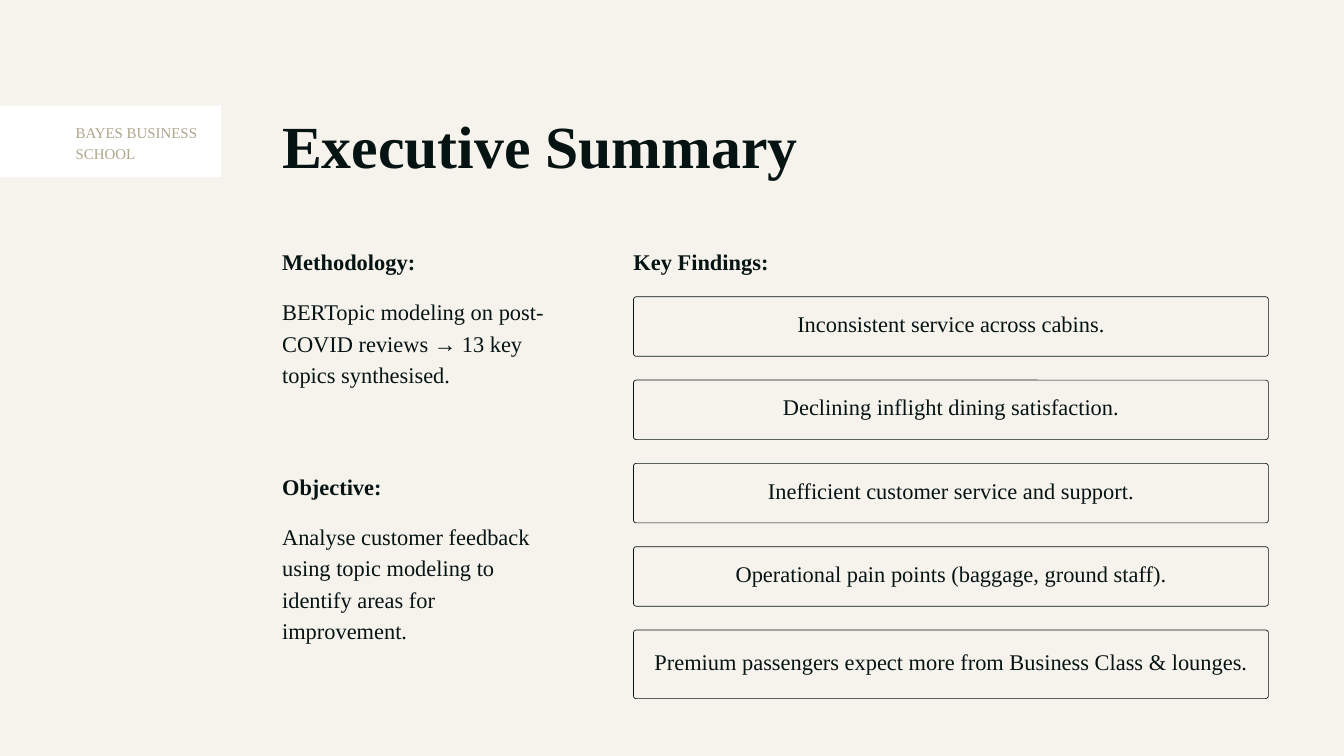
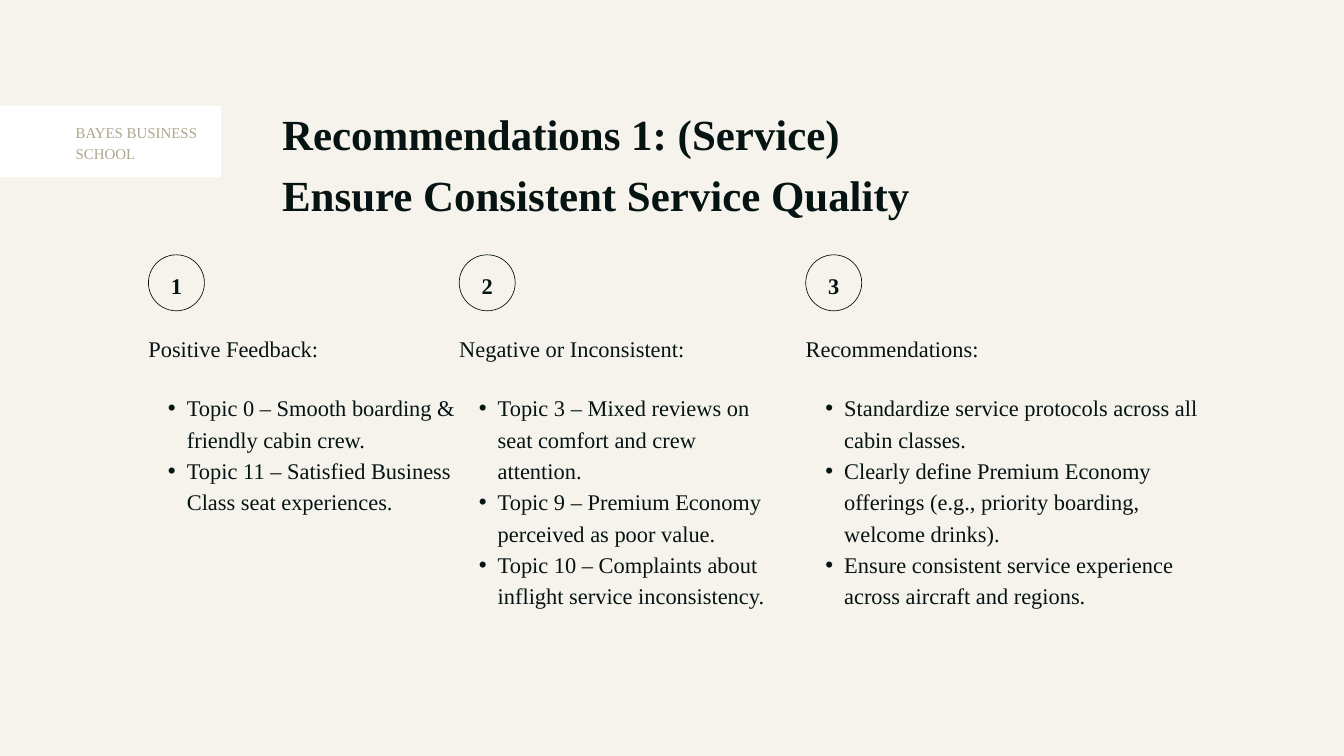
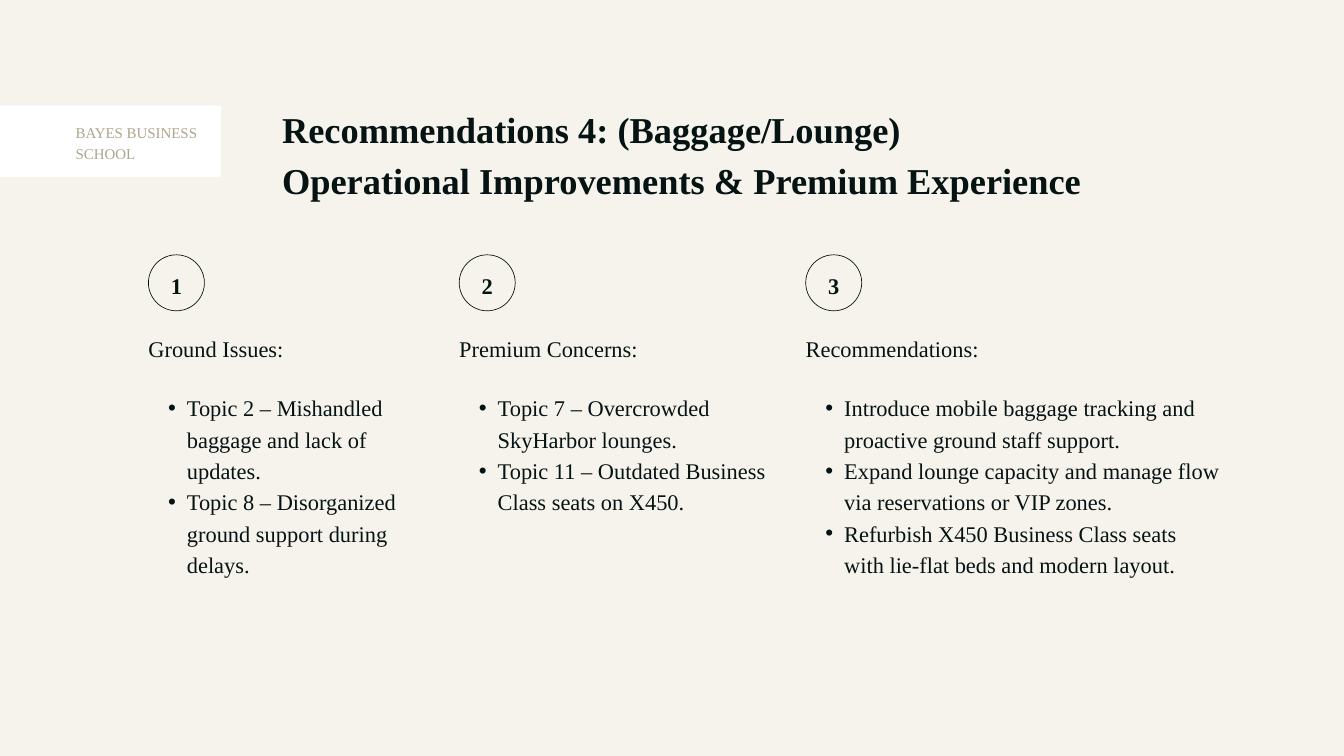
from dataclasses import dataclass

from lxml.etree import SubElement
from pptx import Presentation
from pptx.dml.color import RGBColor
from pptx.enum.shapes import MSO_SHAPE as Preset
from pptx.enum.text import MSO_ANCHOR as Anchor, PP_ALIGN as Align
from pptx.oxml.ns import qn
from pptx.util import Pt

EMU_PER_PX = 9525


def px(length):
    return length * EMU_PER_PX


@dataclass(frozen=True)
class Theme:
    paper: RGBColor = RGBColor(0xF5, 0xF3, 0xEC)
    ink: RGBColor = RGBColor(0x06, 0x13, 0x13)
    tag_fill: RGBColor = RGBColor(0xFF, 0xFF, 0xFF)
    tag_text: RGBColor = RGBColor(0xAD, 0xA6, 0x8E)
    font: str = "Times New Roman"
    body: int = 24
    tag: int = 16
    leading: float = 1.4
    outline: float = 0.75


THEME = Theme()


@dataclass(frozen=True)
class Box:
    left: int
    top: int
    width: int
    height: int

    def emu(self):
        return [px(side) for side in (self.left, self.top, self.width, self.height)]

    def strip(self, top, height):
        """A full-width strip that starts `top` below this box's own top."""
        return Box(self.left, self.top + top, self.width, height)


def add_bullet(paragraph):
    paragraph.level = 1
    properties = paragraph._p.get_or_add_pPr()
    properties.set("marL", str(px(55)))
    properties.set("indent", str(px(-27)))
    SubElement(properties, qn("a:buFont"), typeface="Arial")
    SubElement(properties, qn("a:buChar"), char="•")


def write(shape, lines, size=THEME.body, bold=False, color=THEME.ink, align=Align.LEFT,
          anchor=Anchor.TOP, insets=(0, 0, 0, 0), bulleted=False):
    """Fill a shape with one paragraph per line; insets are left, top, right, bottom."""
    frame = shape.text_frame
    frame.word_wrap = True
    frame.vertical_anchor = anchor
    (frame.margin_left, frame.margin_top,
     frame.margin_right, frame.margin_bottom) = map(px, insets)
    frame.text = "\n".join(lines)
    for paragraph in frame.paragraphs:
        if bulleted:
            add_bullet(paragraph)
        paragraph.alignment = align
        paragraph.line_spacing = Pt(size * THEME.leading)
        for run in paragraph.runs:
            run.font.name = THEME.font
            run.font.size = Pt(size)
            run.font.bold = bold
            run.font.color.rgb = color


def add_text(slide, box, lines, **style):
    write(slide.shapes.add_textbox(*box.emu()), lines, **style)


def add_outline(slide, preset, box):
    shape = slide.shapes.add_shape(preset, *box.emu())
    shape.shadow.inherit = False
    shape.fill.background()
    shape.line.color.rgb = THEME.ink
    shape.line.width = Pt(THEME.outline)
    return shape


def add_school_tag(slide, box):
    tag = slide.shapes.add_shape(Preset.RECTANGLE, *box.emu())
    tag.shadow.inherit = False
    tag.fill.solid()
    tag.fill.fore_color.rgb = THEME.tag_fill
    tag.line.fill.background()
    write(tag, ["BAYES BUSINESS SCHOOL"], size=THEME.tag, color=THEME.tag_text,
          insets=(108, 21, 0, 0))


def start_slide(presentation, title_lines, title_size, title_box):
    slide = presentation.slides.add_slide(presentation.slide_layouts[6])
    slide.background.fill.solid()
    slide.background.fill.fore_color.rgb = THEME.paper
    add_school_tag(slide, Box(0, 151, 316, 102))
    add_text(slide, title_box, title_lines, size=title_size, bold=True)
    return slide


def add_section(slide, box, heading, text):
    add_text(slide, box.strip(0, 41), [heading], bold=True)
    add_text(slide, box.strip(72, box.height - 72), [text])


def add_findings(slide, box, findings):
    """Heading over evenly spaced cards; the last card reaches the box's bottom."""
    first, pitch, card_height, radius = 76, 119, 85, 4
    add_text(slide, box.strip(0, 41), ["Key Findings:"], bold=True)
    for index, finding in enumerate(findings):
        top = first + index * pitch
        is_last = index == len(findings) - 1
        height = box.height - top if is_last else card_height
        card = add_outline(slide, Preset.ROUNDED_RECTANGLE, box.strip(top, height))
        card.adjustments[0] = radius / height
        write(card, [finding], align=Align.CENTER, anchor=Anchor.MIDDLE,
              insets=(5, 6, 5, 21))


def add_numbered_column(slide, box, number, heading, points):
    diameter = 80
    circle = add_outline(slide, Preset.OVAL, Box(box.left, box.top, diameter, diameter))
    write(circle, [str(number)], bold=True, align=Align.CENTER, anchor=Anchor.MIDDLE)
    add_text(slide, box.strip(108, 41), [heading])
    add_text(slide, box.strip(193, box.height - 193), points, bulleted=True)


def add_summary_slide(presentation):
    slide = start_slide(presentation, ["Executive Summary"], 64, Box(403, 138, 1114, 114))
    add_section(slide, Box(403, 348, 404, 246), "Methodology:",
                "BERTopic modeling on post-COVID reviews → 13 key topics synthesised.")
    add_section(slide, Box(403, 669, 404, 246), "Objective:",
                "Analyse customer feedback using topic modeling to identify areas for improvement.")
    add_findings(slide, Box(905, 348, 907, 650), [
        "Inconsistent service across cabins.",
        "Declining inflight dining satisfaction.",
        "Inefficient customer service and support.",
        "Operational pain points (baggage, ground staff).",
        "Premium passengers expect more from Business Class & lounges.",
    ])


def add_recommendation_slide(presentation, title_lines, title_size, title_box,
                             first_width, columns):
    slide = start_slide(presentation, title_lines, title_size, title_box)
    spans = [(212, first_width), (656, 455), (1151, 593)]
    for number, ((left, width), (heading, height, points)) in enumerate(
            zip(spans, columns), start=1):
        add_numbered_column(slide, Box(left, 364, width, height), number, heading, points)


def main():
    presentation = Presentation()
    presentation.slide_width, presentation.slide_height = px(1920), px(1080)

    add_summary_slide(presentation)
    add_recommendation_slide(
        presentation,
        ["Recommendations 1: (Service)", "Ensure Consistent Service Quality"],
        46, Box(403, 142, 1272, 167), 463,
        [
            ("Positive Feedback:", 542, [
                "Topic 0 – Smooth boarding & friendly cabin crew.",
                "Topic 11 – Satisfied Business Class seat experiences.",
            ]),
            ("Negative or Inconsistent:", 675, [
                "Topic 3 – Mixed reviews on seat comfort and crew attention.",
                "Topic 9 – Premium Economy perceived as poor value.",
                "Topic 10 – Complaints about inflight service inconsistency.",
            ]),
            ("Recommendations:", 587, [
                "Standardize service protocols across all cabin classes.",
                "Clearly define Premium Economy offerings (e.g., priority boarding, "
                "welcome drinks).",
                "Ensure consistent service experience across aircraft and regions.",
            ]),
        ])
    add_recommendation_slide(
        presentation,
        ["Recommendations 4: (Baggage/Lounge)",
         "Operational Improvements & Premium Experience"],
        39, Box(403, 143, 1487, 141), 422,
        [
            ("Ground Issues:", 542, [
                "Topic 2 – Mishandled baggage and lack of updates.",
                "Topic 8 – Disorganized ground support during delays.",
            ]),
            ("Premium Concerns:", 455, [
                "Topic 7 – Overcrowded SkyHarbor lounges.",
                "Topic 11 – Outdated Business Class seats on X450.",
            ]),
            ("Recommendations:", 631, [
                "Introduce mobile baggage tracking and proactive ground staff support.",
                "Expand lounge capacity and manage flow via reservations or VIP zones.",
                "Refurbish X450 Business Class seats with lie-flat beds and modern layout.",
            ]),
        ])
    presentation.save("out.pptx")


if __name__ == "__main__":
    main()
